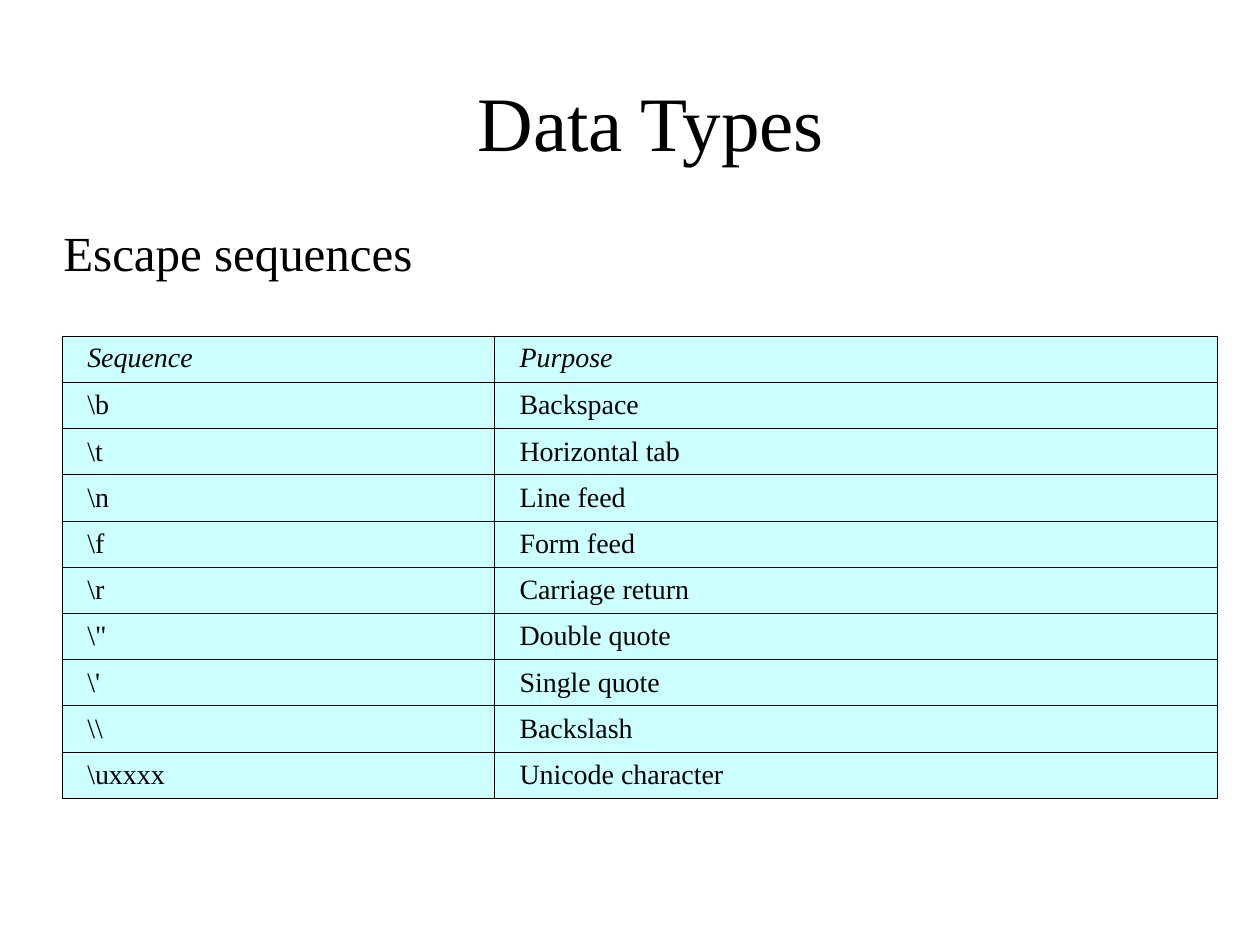
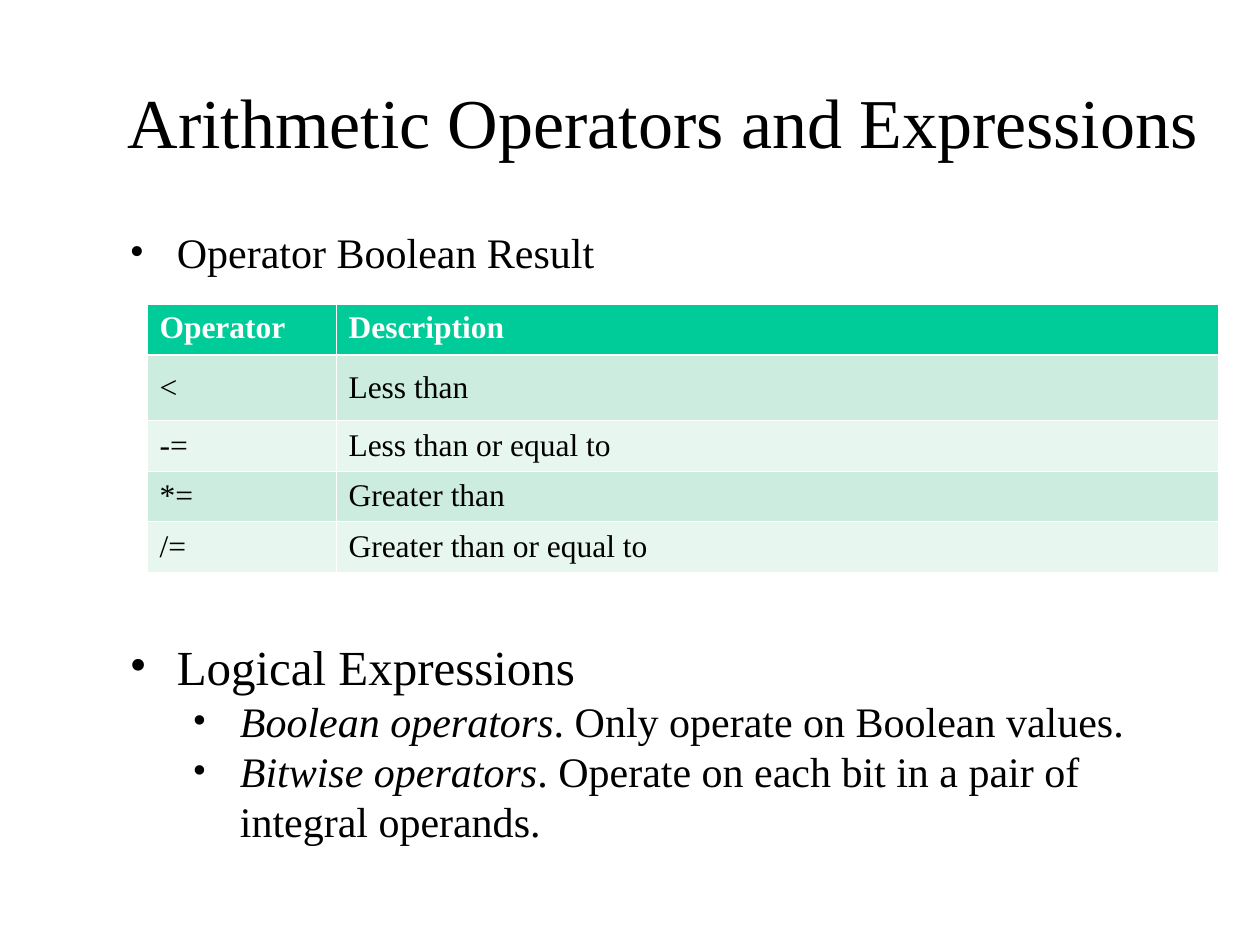
"""Build two slides on escape sequences and Boolean operators."""
from lxml.etree import SubElement
from pptx import Presentation
from pptx.dml.color import RGBColor
from pptx.enum.text import MSO_ANCHOR as ANCHOR, MSO_AUTO_SIZE as AUTO_SIZE, PP_ALIGN as ALIGN
from pptx.oxml.ns import qn
from pptx.util import Pt

rgb = RGBColor.from_string
FONT, BLACK, WHITE = "Times New Roman", "000000", "FFFFFF"
CYAN, GREEN, MINT, PALE_MINT = "CCFFFF", "00CC99", "CBECDE", "E7F6EF"
STANDARD_INSETS = (7.2, 3.6, 7.2, 3.6)


def write(paragraph, text, size, colour=BLACK, bold=False, italic=False, bullet_left=None, bullet_size=100):
    """Fill a paragraph; a lead before "|" is set in italics."""
    if bullet_left:
        properties = paragraph._p.get_or_add_pPr()
        properties.set("marL", str(Pt(bullet_left)))
        properties.set("indent", str(Pt(-27)))
        bullet_colour = SubElement(properties, qn("a:buClr"))
        SubElement(bullet_colour, qn("a:srgbClr"), val=BLACK)
        SubElement(properties, qn("a:buSzPct"), val=str(bullet_size * 1000))
        SubElement(properties, qn("a:buFont"), typeface=FONT)
        SubElement(properties, qn("a:buChar"), char="•")
    font = paragraph.font
    font.name, font.size, font.bold = FONT, Pt(size), bold
    font.color.rgb = rgb(colour)
    lead, mark, rest = text.partition("|")
    if mark:
        paragraph.add_run().text = lead
        paragraph.runs[0].font.italic = True
        paragraph.add_run().text = rest
    else:
        paragraph.add_run().text = lead
        font.italic = italic


def add_grid(slide, left, top, widths, heights, rows, size, insets, fills, border, header, header_line=0.45):
    """Add a table whose body rows take the fills in turn."""
    table = slide.shapes.add_table(len(rows), len(widths), Pt(left), Pt(top),
                                   Pt(sum(widths)), Pt(sum(heights))).table
    table.first_row = table.horz_banding = False
    for column, width in zip(table.columns, widths):
        column.width = Pt(width)
    for r, (entries, height) in enumerate(zip(rows, heights)):
        table.rows[r].height = Pt(height)
        for c, entry in enumerate(entries):
            cell = table.cell(r, c)
            cell.margin_left, cell.margin_top, cell.margin_right, cell.margin_bottom = map(Pt, insets)
            cell.vertical_anchor = ANCHOR.MIDDLE if r else ANCHOR.TOP
            properties = cell._tc.get_or_add_tcPr()
            for side in "LRTB":
                thick = (r, side) in ((0, "B"), (1, "T"))
                line = SubElement(properties, qn(f"a:ln{side}"), w=str(Pt(header_line if thick else 0.45)))
                SubElement(SubElement(line, qn("a:solidFill")), qn("a:srgbClr"), val=border)
            cell.fill.solid()
            cell.fill.fore_color.rgb = rgb(fills[(r - 1) % len(fills)] if r else header["fill"])
            style = {} if r else header["text"]
            write(cell.text_frame.paragraphs[0], entry, size, **style)


deck = Presentation()
deck.slide_width, deck.slide_height = Pt(720), Pt(540)
escapes, operators = [deck.slides.add_slide(deck.slide_layouts[6]) for _ in range(2)]

for slide, title, width, size, align in (
    (escapes, "Data Types", 612, 44, ALIGN.CENTER),
    (operators, "Arithmetic Operators and Expressions", 642, 40, ALIGN.LEFT),
):
    frame = slide.shapes.add_textbox(Pt(66), Pt(24), Pt(width), Pt(90)).text_frame
    frame.word_wrap, frame.vertical_anchor = True, ANCHOR.MIDDLE
    frame.paragraphs[0].alignment = align
    write(frame.paragraphs[0], title, size)

escape_rows = [
    ("Sequence", "Purpose"),
    (r"\b", "Backspace"),
    (r"\t", "Horizontal tab"),
    (r"\n", "Line feed"),
    (r"\f", "Form feed"),
    (r"\r", "Carriage return"),
    (r"\"", "Double quote"),
    (r"\'", "Single quote"),
    ("\\\\", "Backslash"),
    (r"\uxxxx", "Unicode character"),
]
add_grid(escapes, 35.5, 192, (247, 413), [26.4] * len(escape_rows), escape_rows, 16,
         (14.4, 3.6, 0, 3.6), [CYAN], BLACK, {"fill": CYAN, "text": {"italic": True}})

operator_rows = [
    ("Operator", "Description"),
    ("<", "Less than"),
    ("-=", "Less than or equal to"),
    ("*=", "Greater than"),
    ("/=", "Greater than or equal to"),
]
add_grid(operators, 84, 174, (108, 504), (28.8, 37.5, 28.8, 28.8, 28.8), operator_rows, 18,
         STANDARD_INSETS, [MINT, PALE_MINT], WHITE,
         {"fill": GREEN, "text": {"colour": WHITE, "bold": True}}, header_line=1.5)

top_level = {"bullet_left": 28}
sub_level = {"bullet_left": 64, "bullet_size": 94}
for slide, box, insets, lines in (
    (escapes, (35.5, 126, 328, 34.5), (0.7, 1, 0, 0), [("Escape sequences", 28, {})]),
    (operators, (66, 126, 295, 36), STANDARD_INSETS, [("Operator Boolean Result", 24, top_level)]),
    (operators, (66, 360, 630, 127.5), STANDARD_INSETS, [
        ("Logical Expressions", 28, top_level),
        ("Boolean operators|. Only operate on Boolean values.", 24, sub_level),
        ("Bitwise operators|. Operate on each bit in a pair of integral operands.", 24, sub_level),
    ]),
):
    frame = slide.shapes.add_textbox(*map(Pt, box)).text_frame
    frame.word_wrap, frame.auto_size = True, AUTO_SIZE.SHAPE_TO_FIT_TEXT
    frame.margin_left, frame.margin_top, frame.margin_right, frame.margin_bottom = map(Pt, insets)
    for index, (text, size, level) in enumerate(lines):
        paragraph = frame.add_paragraph() if index else frame.paragraphs[0]
        paragraph.level = 1 if level is sub_level else 0
        write(paragraph, text, size, **level)

deck.save("out.pptx")
